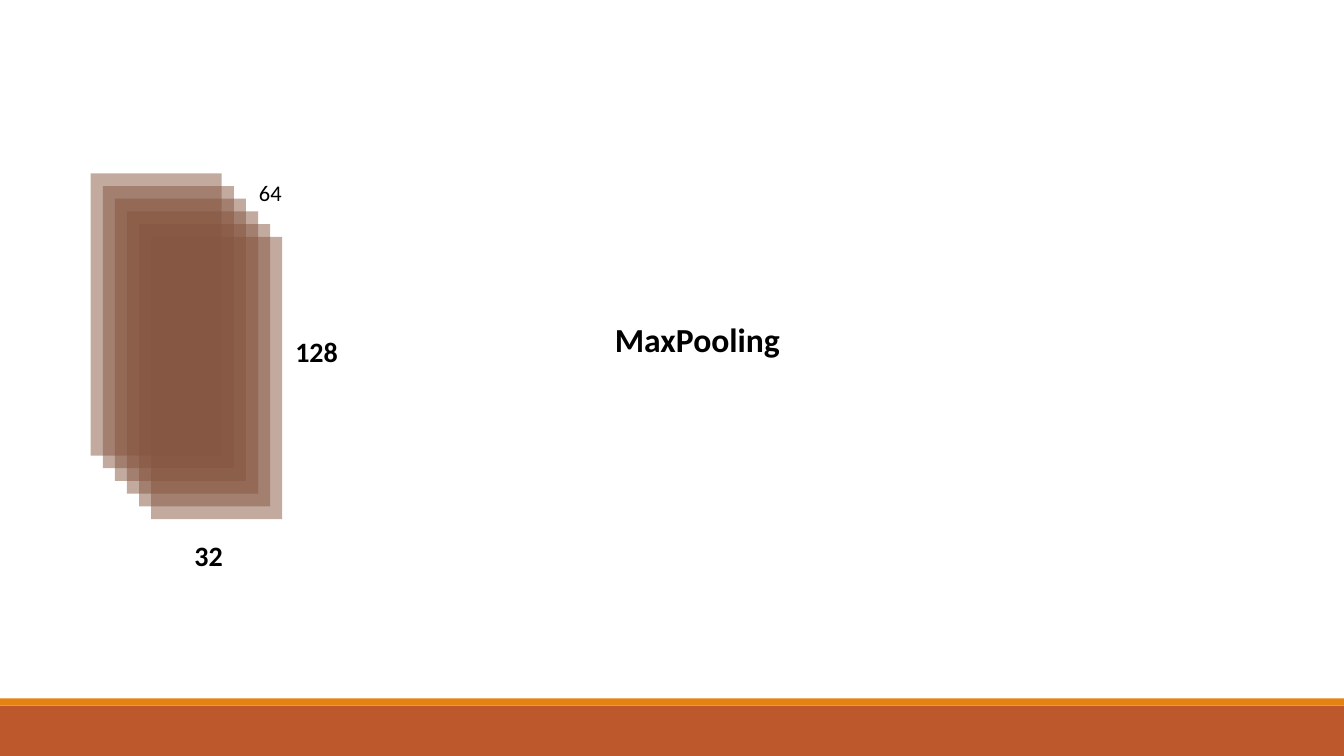
"""Build a slide showing a stack of feature maps ahead of a max pooling step."""
from lxml.etree import SubElement
from pptx import Presentation
from pptx.dml.color import RGBColor
from pptx.enum.shapes import MSO_SHAPE
from pptx.oxml.ns import qn
from pptx.util import Inches, Pt


def paint(color_format, color):
    color_format.rgb = RGBColor.from_string(color)


def add_rectangle(left, top, width, height, color):
    shape = slide.shapes.add_shape(
        MSO_SHAPE.RECTANGLE, Inches(left), Inches(top), Inches(width), Inches(height))
    shape.shadow.inherit = False
    shape.line.fill.background()
    shape.fill.solid()
    paint(shape.fill.fore_color, color)
    return shape


presentation = Presentation()
presentation.slide_width = Inches(13.33)
presentation.slide_height = Inches(7.5)
slide = presentation.slides.add_slide(presentation.slide_layouts[6])

add_rectangle(0, 7, 13.33, 0.5, "BD582C")
add_rectangle(0, 6.93, 13.33, 0.07, "E48312")

map_count = 6
for index in range(map_count):
    step = index / (map_count - 1)
    feature_map = add_rectangle(0.9 + 0.6 * step, 1.72 + 0.63 * step, 1.3, 2.8, "865640")
    map_color = feature_map.fill._xPr.find(qn("a:solidFill"))[0]
    SubElement(map_color, qn("a:alpha"), val="50000")

dimension_spacing = {"line_spacing": 1.07, "space_after": Pt(8)}
labels = [
    ("32", 1.83, 5.27, 0.91, 0.52, {"size": Pt(20), "bold": True}, dimension_spacing),
    ("128", 2.83, 3.25, 0.91, 0.52, {"size": Pt(20), "bold": True}, dimension_spacing),
    ("64", 2.47, 1.71, 0.91, 0.52, {"size": Pt(16), "bold": False}, dimension_spacing),
    ("MaxPooling", 6, 3.11, 2.5, 0.5, {"size": Pt(24), "bold": True}, {}),
]
for text, left, top, width, height, font_format, paragraph_format in labels:
    label = slide.shapes.add_textbox(Inches(left), Inches(top), Inches(width), Inches(height))
    label.text_frame.word_wrap = True
    paragraph = label.text_frame.paragraphs[0]
    for name, value in paragraph_format.items():
        setattr(paragraph, name, value)
    run = paragraph.add_run()
    run.text = text
    for name, value in {"name": "Calibri", **font_format}.items():
        setattr(run.font, name, value)
    paint(run.font.color, "000000")

presentation.save("out.pptx")
